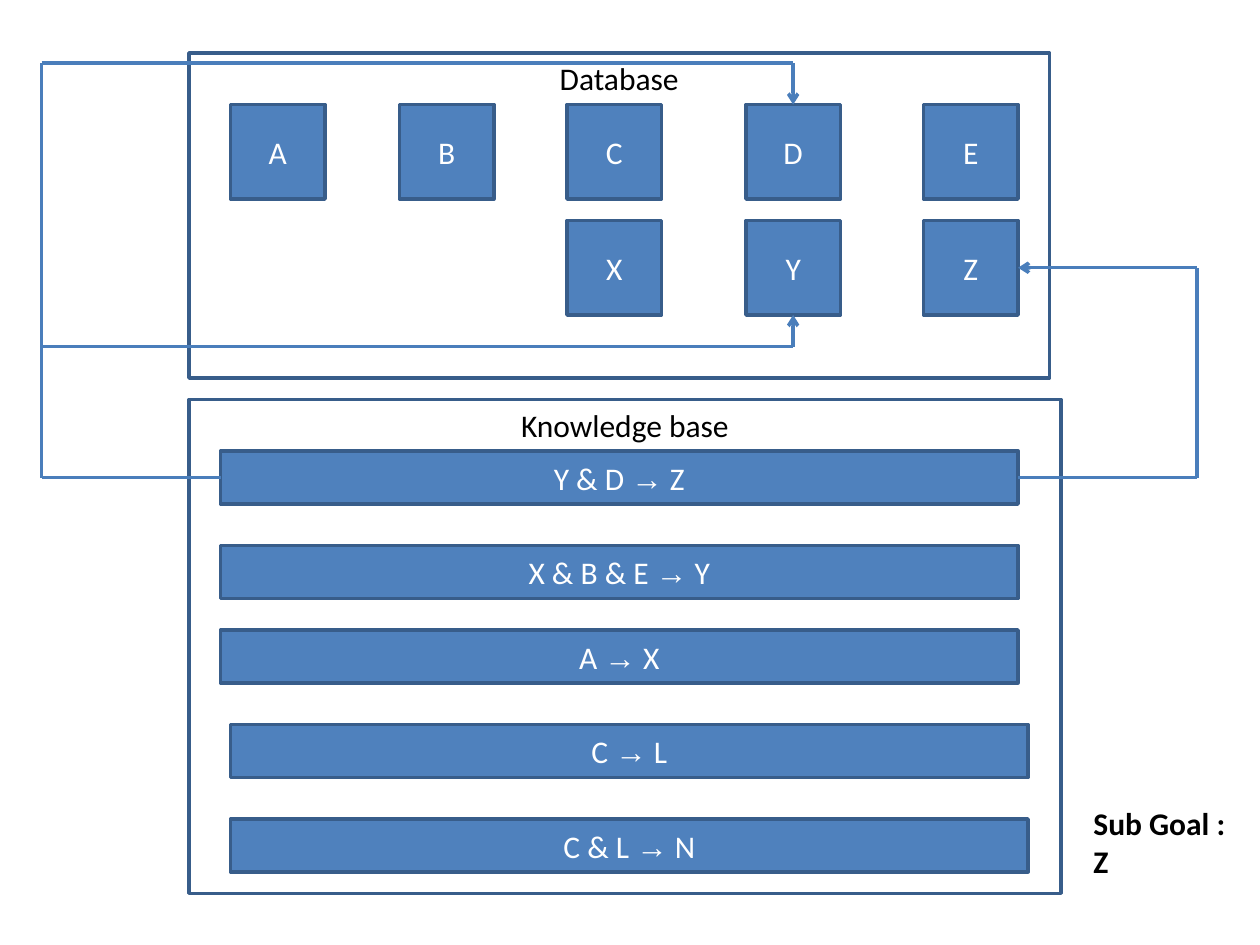
from dataclasses import dataclass
from itertools import pairwise
from pptx import Presentation
from pptx.dml.color import RGBColor as Rgb
from pptx.enum.shapes import MSO_CONNECTOR as Link, MSO_SHAPE as Kind
from pptx.enum.text import MSO_ANCHOR as Anchor, MSO_AUTO_SIZE as Fit, PP_ALIGN as Align
from pptx.oxml.ns import qn
from pptx.util import Inches, Pt
from lxml.etree import SubElement


@dataclass(frozen=True)
class Theme:
    """Colours, fonts and sizes of the slide."""
    paper: Rgb = Rgb(0xFF, 0xFF, 0xFF)
    ink: Rgb = Rgb(0, 0, 0)
    fill: Rgb = Rgb(0x4F, 0x81, 0xBD)
    edge: Rgb = Rgb(0x38, 0x5D, 0x8A)
    wire: Rgb = Rgb(0x4A, 0x7E, 0xBB)
    font: str = "Calibri"
    sign: str = "Arial"
    size: Pt = Pt(18)
    line: Pt = Pt(2)


THEME = Theme()
TOP, LEFT, BASE, RIGHT = range(4)
TILE = 0.75
COLS = (0.33, 1.67, 3, 4.42, 5.83)
ROWS = ((0.41, "ABCDE"), (1.33, "  XYZ"))
RULES = (
    (0.25, 0.41, "Y & D → Z"),
    (0.25, 1.16, "X & B & E → Y"),
    (0.25, 1.83, "A → X"),
    (0.33, 2.58, "C → L"),
    (0.33, 3.33, "C & L → N"),
)


def write(frame, text, color, bold=False):
    """Fill a frame, setting any arrow sign in its own font."""
    frame.word_wrap = True
    para = frame.paragraphs[0]
    for part in filter(None, text.partition("→")):
        run = para.add_run()
        run.text = part
        font = run.font
        font.name = THEME.sign if part == "→" else THEME.font
        font.size, font.bold = THEME.size, bold
        font.color.rgb = color
    return para


def draw_box(slide, box, text, fill, color, anchor=Anchor.MIDDLE):
    """Draw an outlined rectangle with centred text."""
    shape = slide.shapes.add_shape(Kind.RECTANGLE, *map(Inches, box))
    shape.shadow.inherit = False
    shape.fill.solid()
    shape.fill.fore_color.rgb = fill
    shape.line.color.rgb = THEME.edge
    shape.line.width = THEME.line
    shape.text_frame.vertical_anchor = anchor
    write(shape.text_frame, text, color).alignment = Align.CENTER
    return shape


def draw_panel(slide, box, text):
    """Draw a white panel with its heading at the top."""
    draw_box(slide, box, text, THEME.paper, THEME.ink, Anchor.TOP)


def draw_data(slide, box):
    """Draw the database panel and return its tiles by letter."""
    draw_panel(slide, box, "Database")
    left, top = box[:2]
    return {
        name: draw_box(slide, (left + x, top + y, TILE, TILE), name, THEME.fill, THEME.paper)
        for y, names in ROWS
        for x, name in zip(COLS, names)
        if name != " "
    }


def draw_base(slide, box):
    """Draw the knowledge base panel and return its rule bars."""
    draw_panel(slide, box, "Knowledge base")
    left, top = box[:2]
    return [
        draw_box(slide, (left + x, top + y, 6.33, 0.42), text, THEME.fill, THEME.paper)
        for x, y, text in RULES
    ]


def draw_goal(slide, box):
    """Write the current goal beside the panels."""
    frame = slide.shapes.add_textbox(*map(Inches, box)).text_frame
    write(frame, "Sub Goal : Z", THEME.ink, True)
    frame.auto_size = Fit.SHAPE_TO_FIT_TEXT


def side(shape, site):
    """Return the middle of one side of a shape."""
    x, y = shape.left + shape.width // 2, shape.top + shape.height // 2
    return {
        TOP: (x, shape.top),
        LEFT: (shape.left, y),
        BASE: (x, shape.top + shape.height),
        RIGHT: (shape.left + shape.width, y),
    }[site]


def draw_route(slide, points, start=None, end=None):
    """Draw straight legs through the points, joined to shapes at the ends."""
    legs = []
    for here, there in pairwise(points):
        leg = slide.shapes.add_connector(Link.STRAIGHT, *here, *there)
        leg.line.color.rgb = THEME.wire
        leg.line.width = THEME.line
        SubElement(leg._element.spPr, qn("a:effectLst"))
        legs.append(leg)
    if start:
        legs[0].begin_connect(*start)
    if end:
        legs[-1].end_connect(*end)
        SubElement(legs[-1].line._get_or_add_ln(), qn("a:tailEnd"), type="arrow")


def draw_links(slide, rule, tiles):
    """Link a rule to the facts it needs and the fact it proves."""
    rail, bend = Inches(0.33), Inches(9.5)
    out, back = side(rule, LEFT), side(rule, RIGHT)
    need, fact, goal = side(tiles["D"], TOP), side(tiles["Y"], BASE), side(tiles["Z"], RIGHT)
    high, low = Inches(0.5), Inches(2.75)
    draw_route(
        slide,
        [out, (rail, out[1]), (rail, high), (need[0], high), need],
        (rule, LEFT), (tiles["D"], TOP),
    )
    draw_route(slide, [(rail, low), (fact[0], low), fact], end=(tiles["Y"], BASE))
    draw_route(
        slide,
        [back, (bend, back[1]), (bend, goal[1]), goal],
        (rule, RIGHT), (tiles["Z"], RIGHT),
    )


def main():
    """Build and save the slide."""
    deck = Presentation()
    deck.slide_width, deck.slide_height = Inches(10), Inches(7.5)
    slide = deck.slides.add_slide(deck.slide_layouts[6])
    tiles = draw_data(slide, (1.5, 0.42, 6.83, 2.58))
    rules = draw_base(slide, (1.5, 3.17, 6.92, 3.92))
    draw_goal(slide, (8.58, 6.33, 1.25, 0.7))
    draw_links(slide, rules[0], tiles)
    deck.save("out.pptx")


if __name__ == "__main__":
    main()
